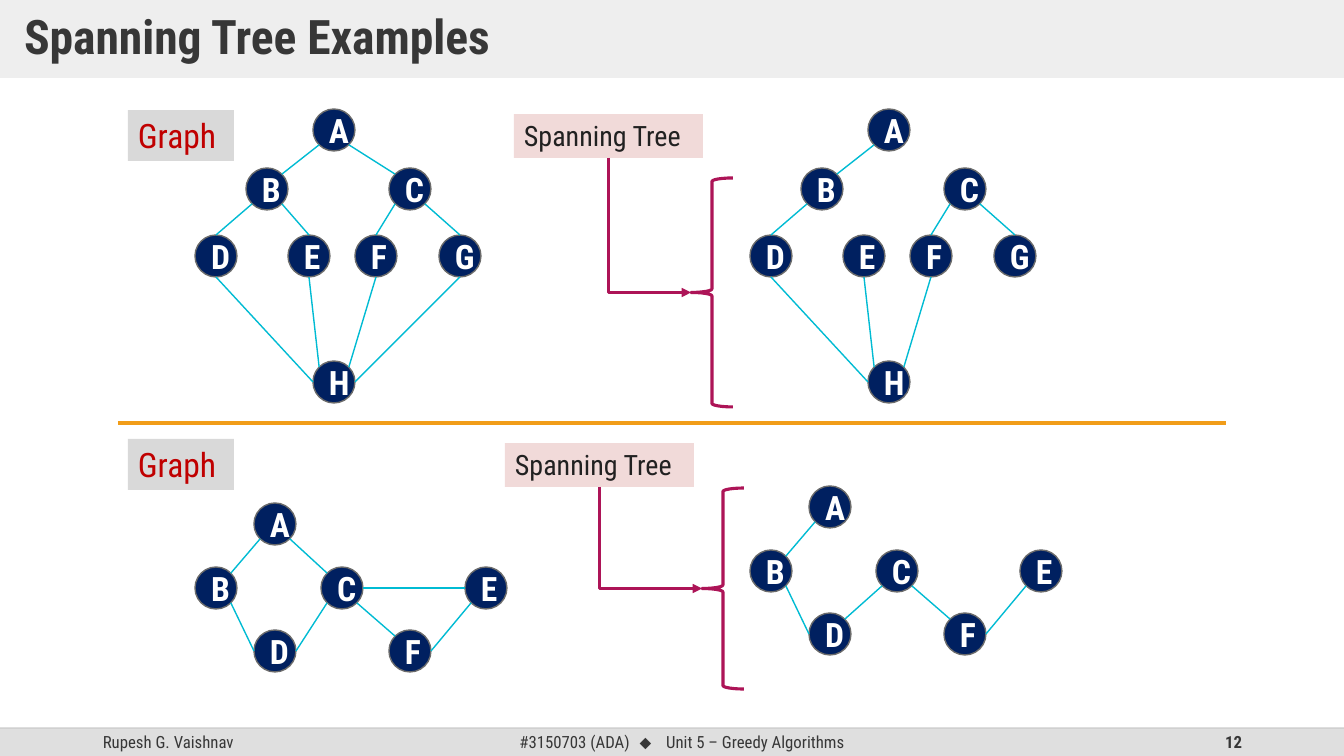
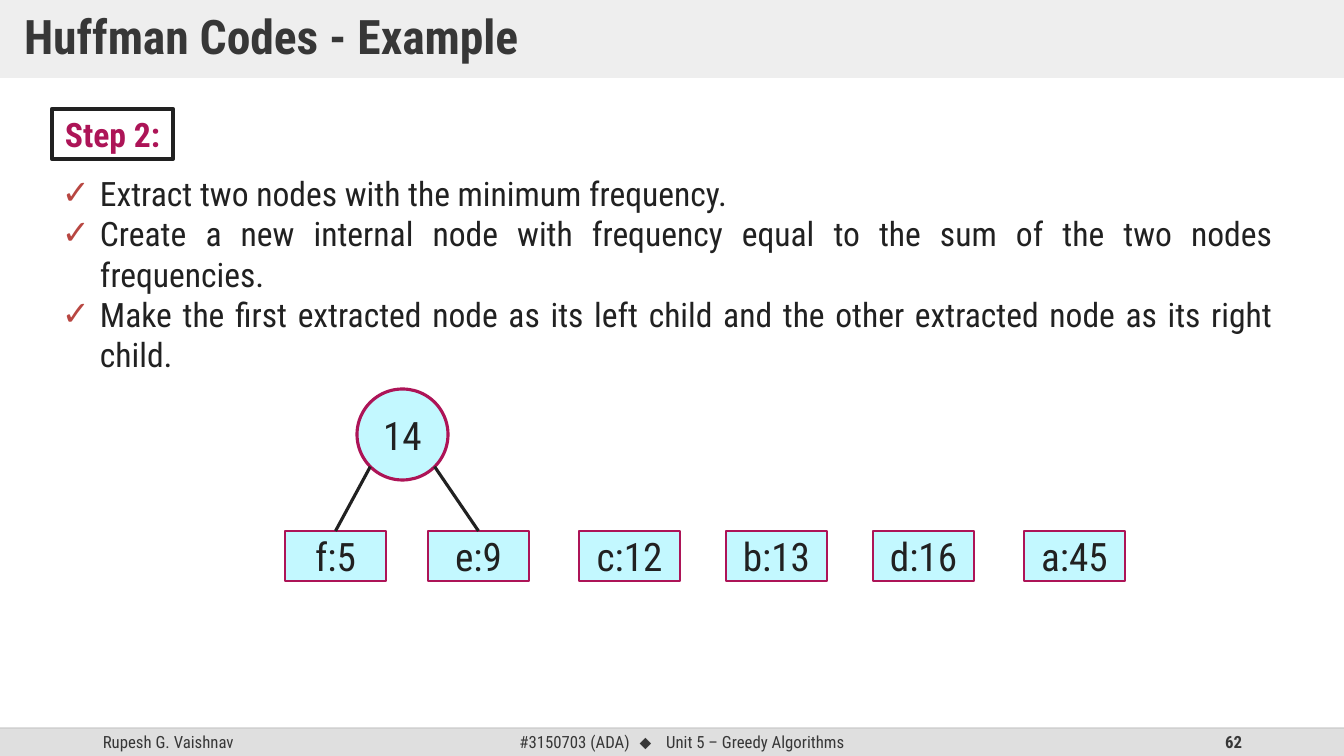
from lxml import etree
from pptx import Presentation
from pptx import util as u
from pptx.dml.color import RGBColor
from pptx.enum import shapes, text
from pptx.oxml.ns import qn

PX = 914400 / 100.8
W, H = 1344, 756
FONT = "Roboto Condensed"
GRAY, SLATE, INK = "DFDFDF", "373737", "212121"
BERRY, AQUA, CYAN, NAVY, WHITE = "AD1457", "C3F8FF", "00BBD3", "002060", "FFFFFF"
SHAPE = shapes.MSO_SHAPE
ALIGN = text.PP_ALIGN
ANCHOR = text.MSO_ANCHOR
NODE = 42
DIAG = 0.707
COMPASS = {"n": (0, -1), "s": (0, 1), "e": (1, 0), "w": (-1, 0),
           "ne": (DIAG, -DIAG), "nw": (-DIAG, -DIAG),
           "se": (DIAG, DIAG), "sw": (-DIAG, DIAG)}

TREE_NODES = {"A": (118, 0), "B": (51, 59), "C": (194, 59), "D": (0, 126),
              "E": (93, 126), "F": (160, 126), "G": (244, 126), "H": (118, 252)}
TREE_EDGES = ["Asw Bne", "Bsw Dn", "Csw Fn", "Cse Gn", "Ds Hw", "Es Hnw", "Fs Hne"]
TREE_EXTRA = ["Ase Cnw", "Bse En", "Gs He"]
MESH_NODES = {"A": (59, 0), "B": (0, 64), "C": (126, 64),
              "D": (59, 127), "E": (270, 64), "F": (194, 127)}
MESH_EDGES = ["Asw Bne", "Bse Dw", "Cse Fnw", "Esw Fe"]
MESH_EXTRA = ["Ase Cnw", "De Csw", "Ce Ew"]
STEPS = ["Extract two nodes with the minimum frequency.",
         "Create a new internal node with frequency equal to the sum of the two nodes frequencies.",
         "Make the first extracted node as its left child and the other extracted node "
         "as its right child."]
LEAVES = [("f:5", 0), ("e:9", 143), ("c:12", 294),
          ("b:13", 441), ("d:16", 588), ("a:45", 739)]


def px(n):
    return u.Emu(round(n * PX))


def rgb(value):
    return RGBColor.from_string(value)


def paint(fill, color, alpha=None):
    fill.solid()
    fill.fore_color.rgb = rgb(color)
    if alpha:
        clr = fill._xPr.find(qn("a:solidFill"))[0]
        etree.SubElement(clr, qn("a:alpha")).set("val", str(alpha * 1000))


def write(p, words, size=24, color=INK, bold=False, font=FONT, spc=None):
    r = p.add_run()
    r.text = words
    f = r.font
    f.name, f.size, f.bold = font, u.Pt(size), bold
    f.color.rgb = rgb(color)
    if spc:
        r._r.get_or_add_rPr().set("spc", str(spc))
    return r


def set_frame(sp, align, anchor, inset=None):
    tf = sp.text_frame
    tf.word_wrap = True
    tf.vertical_anchor = anchor
    if inset:
        tf.margin_left = tf.margin_right = px(inset[0])
        tf.margin_top = tf.margin_bottom = px(inset[1])
    p = tf.paragraphs[0]
    p.alignment = align
    return p


def add_shape(s, kind, box, fill=None, alpha=None, line=None, width=1, words=None,
              align=ALIGN.CENTER, anchor=ANCHOR.MIDDLE, inset=None, **fmt):
    sp = s.shapes.add_shape(kind, *map(px, box))
    sp.shadow.inherit = False
    if fill:
        paint(sp.fill, fill, alpha)
    else:
        sp.fill.background()
    if line:
        sp.line.color.rgb = rgb(line)
        sp.line.width = u.Pt(width)
    else:
        sp.line.fill.background()
    if words:
        write(set_frame(sp, align, anchor, inset), words, **fmt)
    return sp


def add_text(s, box, align=ALIGN.LEFT, anchor=ANCHOR.MIDDLE):
    sp = s.shapes.add_textbox(*map(px, box))
    return set_frame(sp, align, anchor)


def add_line(s, start, end, color, width=1, alpha=None, kind=shapes.MSO_CONNECTOR.STRAIGHT):
    c = s.shapes.add_connector(kind, *map(px, (*start, *end)))
    paint(c.line.fill, color, alpha)
    c.line.width = u.Pt(width)
    etree.SubElement(c._element.spPr, qn("a:effectLst"))
    return c


def site(box, side):
    x, y, w, h = box
    dx, dy = COMPASS[side]
    return x + w / 2 * (1 + dx), y + h / 2 * (1 + dy)


def frame(prs, title, number):
    s = prs.slides.add_slide(prs.slide_layouts[6])
    top, height = 728, 28
    add_shape(s, SHAPE.RECTANGLE, (0, top, W, height), GRAY)
    small = dict(size=12, color=SLATE)
    write(add_text(s, (93, top, 302, height)), "Rupesh G. Vaishnav", **small)
    p = add_text(s, (446, top, 472, height), ALIGN.CENTER)
    write(p, "#3150703 (ADA)", **small)
    write(p, " ⬥ ", font="Arial", spc=360, **small)
    write(p, "Unit 5 – Greedy Algorithms", **small)
    write(add_text(s, (950, top, 302, height), ALIGN.RIGHT), number, bold=True, **small)
    add_line(s, (0, top), (W, top), "BFBFBF", alpha=70)
    sp = add_shape(s, SHAPE.RECTANGLE, (0, 0, W, 78), GRAY, 50, words=title, align=ALIGN.LEFT,
                   inset=(24, 12), size=34, color=SLATE, bold=True)
    sp.text_frame.paragraphs[0].line_spacing = 0.9
    return s


def graph(s, left, top, nodes, edges):
    boxes = {name: (left + x, top + y, NODE, NODE) for name, (x, y) in nodes.items()}
    for name, box in boxes.items():
        add_shape(s, SHAPE.OVAL, box, NAVY, line="6B6B6B", words=name, color=WHITE, bold=True)
    for edge in edges:
        start, end = (site(boxes[end[0]], end[1:]) for end in edge.split())
        add_line(s, start, end, CYAN)


def elbow_arrow(s, start, end):
    (x0, y0), (x1, y1) = start, end
    cx, cy = (x0 + x1) / 2, (y0 + y1) / 2
    run, drop = (x1 - x0) / 2, (y1 - y0) / 2
    c = add_line(s, (cx - drop, cy - run), (cx + drop, cy + run), BERRY, 2.25,
                 kind=shapes.MSO_CONNECTOR.ELBOW)
    pr = c._element.spPr
    pr.find(qn("a:prstGeom")).set("prst", "bentConnector2")
    xfrm = pr.find(qn("a:xfrm"))
    xfrm.set("rot", "16200000")
    xfrm.set("flipH", "1")
    etree.SubElement(pr.find(qn("a:ln")), qn("a:tailEnd")).set("type", "triangle")


def example_labels(s, top, tree_left, brace):
    label = dict(align=ALIGN.LEFT, anchor=ANCHOR.TOP)
    add_shape(s, SHAPE.RECTANGLE, (128, top, 106, 51), "D9D9D9", words="Graph",
              color="C00000", **label)
    tag = (tree_left, top + 4, 189, 44)
    add_shape(s, SHAPE.RECTANGLE, tag, "F1DAD9", words="Spanning Tree", size=20, **label)
    elbow_arrow(s, site(tag, "s"), site(brace, "w"))
    add_shape(s, SHAPE.LEFT_BRACE, brace, line=BERRY, width=2.25)


def spanning_tree_slide(prs):
    s = frame(prs, "Spanning Tree Examples", "12")
    graph(s, 195, 109, TREE_NODES, TREE_EDGES + TREE_EXTRA)
    graph(s, 750, 109, TREE_NODES, TREE_EDGES)
    add_line(s, (118, 423), (1226, 423), "F19D19", 2.25)
    graph(s, 195, 503, MESH_NODES, MESH_EDGES + MESH_EXTRA)
    graph(s, 750, 486, MESH_NODES, MESH_EDGES + ["Dne Csw"])
    example_labels(s, 110, 514, (691, 178, 42, 229))
    example_labels(s, 439, 505, (702, 488, 42, 201))


def add_bullet(p):
    pr = p._p.get_or_add_pPr()
    pr.set("marL", str(px(38)))
    pr.set("indent", str(-px(38)))
    clr = etree.SubElement(pr, qn("a:buClr"))
    etree.SubElement(clr, qn("a:srgbClr")).set("val", "B84742")
    etree.SubElement(pr, qn("a:buFont")).set("typeface", "Arial")
    etree.SubElement(pr, qn("a:buChar")).set("char", "✓")


def step_list(s, box, steps):
    sp = s.shapes.add_textbox(*map(px, box))
    p = set_frame(sp, ALIGN.JUSTIFY, ANCHOR.TOP)
    for i, step in enumerate(steps):
        if i:
            p = sp.text_frame.add_paragraph()
            p.alignment = ALIGN.JUSTIFY
        add_bullet(p)
        write(p, step)


def huffman_nodes(s, left, top):
    root = (left + 72, top, 91, 91)
    boxes = [(left + x, top + 142, 101, 50) for _, x in LEAVES]
    for (words, _), box in zip(LEAVES, boxes):
        add_shape(s, SHAPE.RECTANGLE, box, AQUA, line=BERRY, words=words, size=28)
    add_shape(s, SHAPE.OVAL, root, AQUA, line=BERRY, width=2.25, words="14", size=28)
    for side, box in zip(("sw", "se"), boxes):
        add_line(s, site(root, side), site(box, "n"), INK, 2.25)


def huffman_slide(prs):
    s = frame(prs, "Huffman Codes - Example", "62")
    add_shape(s, SHAPE.RECTANGLE, (52, 109, 121, 50), line=INK, width=3, words="Step 2:",
              color=BERRY, bold=True)
    step_list(s, (52, 168, 1231, 214), STEPS)
    huffman_nodes(s, 285, 389)


def main():
    prs = Presentation()
    prs.slide_width, prs.slide_height = px(W), px(H)
    spanning_tree_slide(prs)
    huffman_slide(prs)
    prs.save("out.pptx")


if __name__ == "__main__":
    main()
